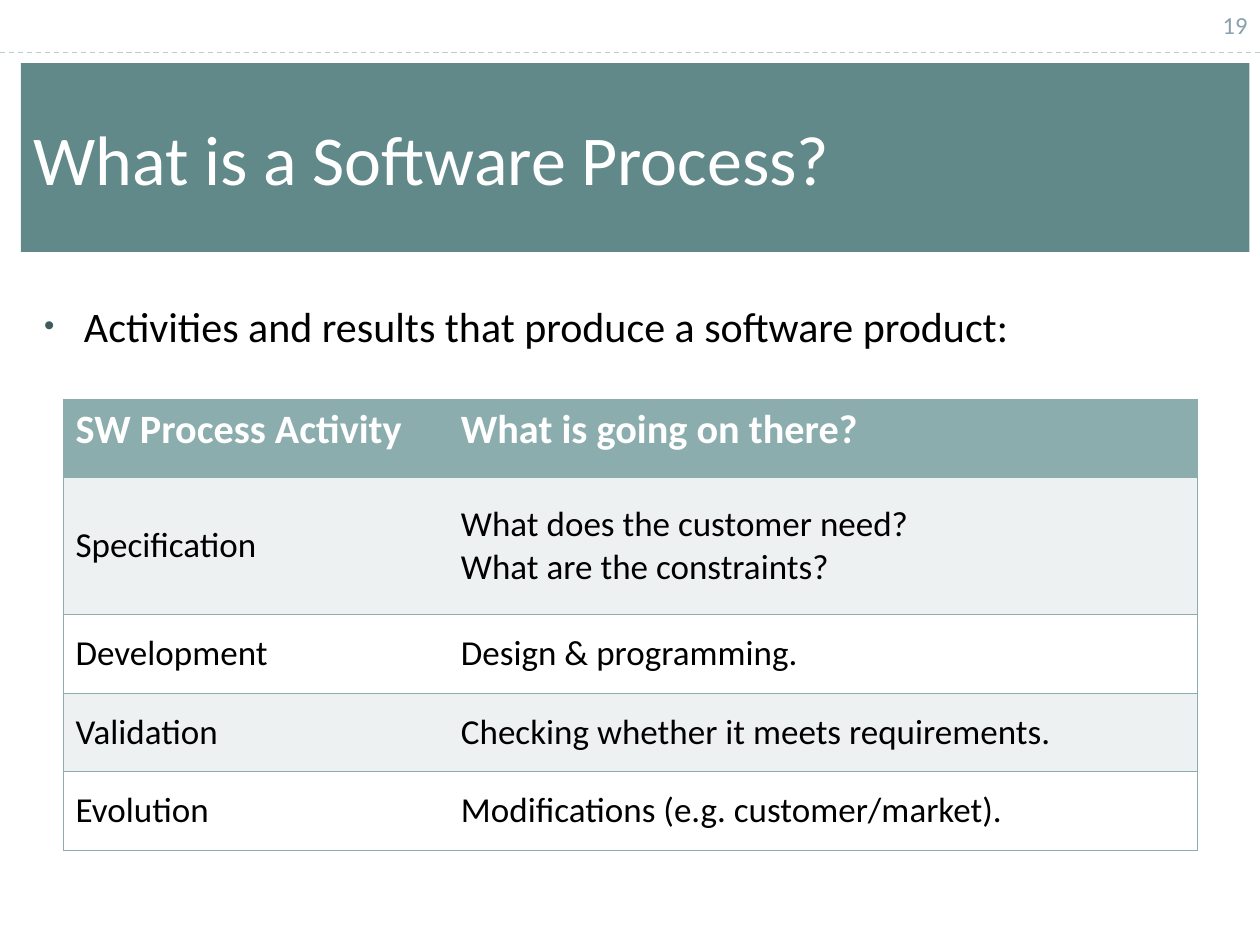
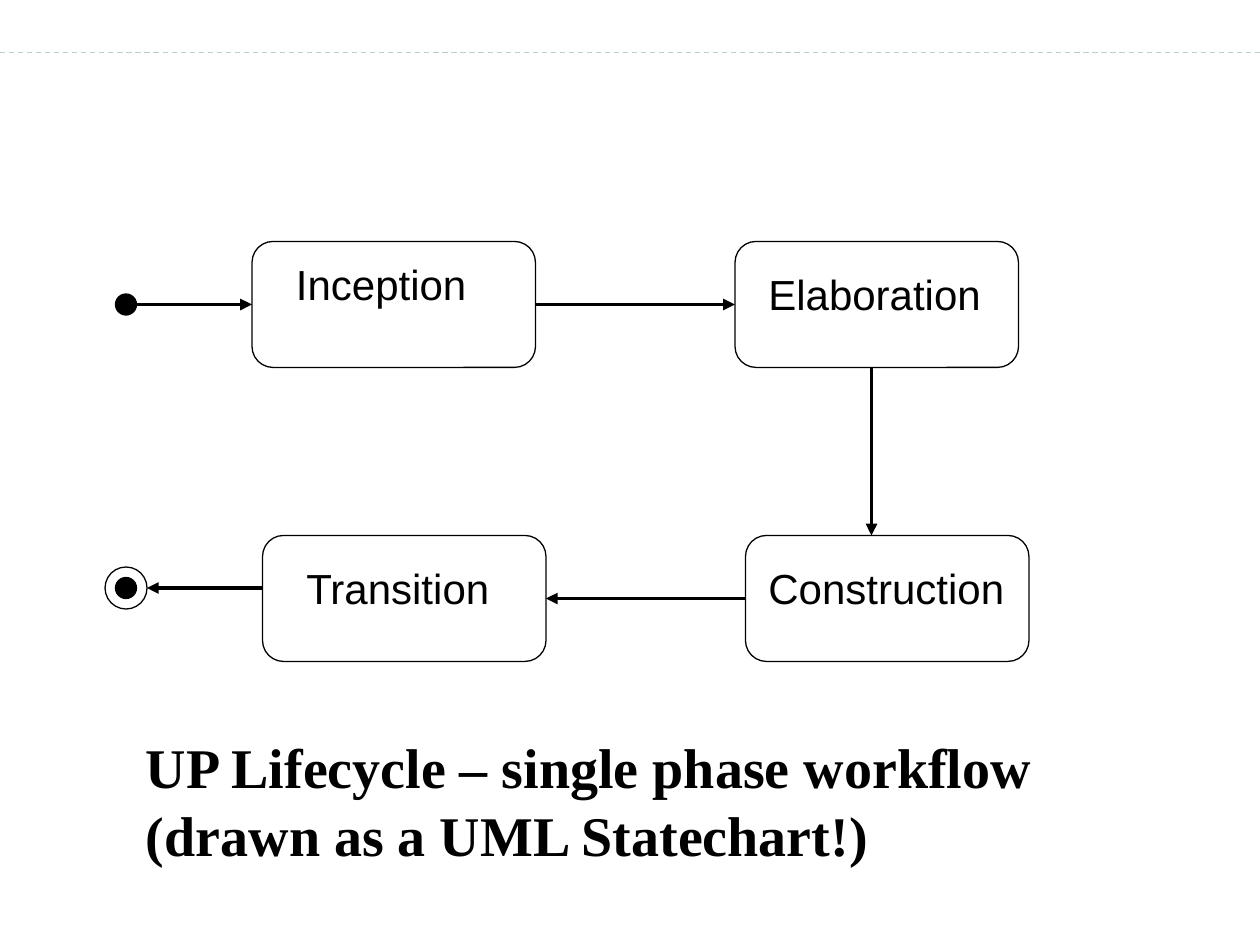
from lxml.etree import SubElement
from pptx import Presentation
from pptx.dml.color import RGBColor
from pptx.enum.dml import MSO_LINE
from pptx.enum.shapes import MSO_CONNECTOR, MSO_SHAPE
from pptx.enum.text import MSO_ANCHOR, MSO_AUTO_SIZE, PP_ALIGN
from pptx.oxml.ns import qn
from pptx.util import Pt

PX = 7620
SLIDE_SIZE = (1200, 900)
RULE_Y = 50

BLACK, WHITE = "000000", "FFFFFF"
RULE, NUMBER = "BACECE", "88A1AD"
BAND, BULLET = "61898A", "415B5C"
HEADER, STRIPE = "8CADAE", "EEF1F2"

PROCESS_TITLE = "What is a Software Process?"
PROCESS_POINT = "Activities and results that produce a software product:"
PAGE_NUMBER = "19"
ACTIVITIES = [
    ("SW Process Activity", "What is going on there?"),
    ("Specification", "What does the customer need?\nWhat are the constraints?"),
    ("Development", "Design & programming."),
    ("Validation", "Checking whether it meets requirements."),
    ("Evolution", "Modifications (e.g. customer/market)."),
]
COLUMN_WIDTHS = (367, 713)
ROW_HEIGHTS = (75, 130, 75, 75, 75)

LIFECYCLE_TITLE = "UP Lifecycle – single phase workflow\n(drawn as a UML Statechart!)"
STATE_SIZE = (270, 120)
PHASES = {
    "Inception": {"state": (240, 230), "label": (270, 240, 188, 60)},
    "Elaboration": {"state": (700, 230), "label": (720, 250, 228, 60)},
    "Construction": {"state": (710, 510), "label": (720, 530, 254, 60)},
    "Transition": {"state": (250, 510), "label": (280, 530, 202, 60)},
}
START_DOT, END_DOT = (110, 280, 20, 20), (110, 550, 20, 20)
END_RING = (100, 540, 40, 40)
LEFT, RIGHT = 1, 3
TRANSITIONS = [
    ((130, 290), (240, 290), None, ("Inception", LEFT)),
    ((510, 290), (700, 290), ("Inception", RIGHT), ("Elaboration", LEFT)),
    ((830, 350), (830, 510), None, None),
    ((710, 570), (520, 570), ("Construction", LEFT), ("Transition", RIGHT)),
    ((250, 560), (140, 560), None, None),
]


def px(*lengths):
    return [length * PX for length in lengths]


def color(hex_text):
    return RGBColor.from_string(hex_text)


def place(shape, area):
    shape.left, shape.top, shape.width, shape.height = px(*area)


def set_bullet(para, indent):
    props = para._p.get_or_add_pPr()
    props.set("marL", str(indent * PX))
    props.set("indent", str(-indent * PX))
    SubElement(SubElement(props, qn("a:buClr")), qn("a:srgbClr"), val=BULLET)
    SubElement(props, qn("a:buSzPct"), val="70000")
    SubElement(props, qn("a:buFont"), typeface="Arial")
    SubElement(props, qn("a:buChar"), char="•")


def write(frame, text, font, size, hex_text, bold=False, align=PP_ALIGN.LEFT, bullet_indent=0):
    frame.text = text
    for para in frame.paragraphs:
        if bullet_indent:
            set_bullet(para, bullet_indent)
        para.alignment = align
        para.space_before = Pt(0)
        para.font.name = font
        para.font.size = Pt(size)
        para.font.bold = bold
        para.font.color.rgb = color(hex_text)


def add_line(page, start, end, hex_text, width):
    line = page.shapes.add_connector(MSO_CONNECTOR.STRAIGHT, *px(*start, *end))
    line.line.color.rgb = color(hex_text)
    line.line.width = Pt(width)
    SubElement(line.element.spPr, qn("a:effectLst"))
    return line


def add_outline(page, kind, area, fill=None):
    shape = page.shapes.add_shape(kind, *px(*area))
    shape.shadow.inherit = False
    if fill:
        shape.fill.solid()
        shape.fill.fore_color.rgb = color(fill)
    else:
        shape.fill.background()
    shape.line.color.rgb = color(BLACK)
    shape.line.width = Pt(0.75)
    return shape


def add_label(page, area, text, font, size, hex_text, **style):
    box = page.shapes.add_textbox(*px(*area))
    write(box.text_frame, text, font, size, hex_text, **style)
    return box.text_frame


def add_master_rule(deck, page):
    rule = add_line(page, (0, RULE_Y), (SLIDE_SIZE[0], RULE_Y), RULE, 0.75)
    rule.line.dash_style = MSO_LINE.DASH
    rule.element.nvCxnSpPr.cNvPr.set("id", "100")
    deck.slide_master.shapes.element.append(rule.element)


def set_borders(cell, sides):
    props = cell._tc.get_or_add_tcPr()
    for side in "LRTB":
        border = SubElement(props, qn(f"a:ln{side}"), w=str(Pt(0.45)))
        if side in sides:
            fill = SubElement(border, qn("a:solidFill"))
            SubElement(fill, qn("a:srgbClr"), val=HEADER)
        else:
            SubElement(border, qn("a:noFill"))


def add_activity_table(page):
    area = (60, 380, sum(COLUMN_WIDTHS), sum(ROW_HEIGHTS))
    table = page.shapes.add_table(len(ACTIVITIES), len(COLUMN_WIDTHS), *px(*area)).table
    table.horz_banding = False
    for column, width in zip(table.columns, px(*COLUMN_WIDTHS)):
        column.width = width
    for row, height in zip(table.rows, px(*ROW_HEIGHTS)):
        row.height = height
    for row_index, texts in enumerate(ACTIVITIES):
        header = row_index == 0
        fill = HEADER if header else STRIPE if row_index % 2 else WHITE
        for column_index, text in enumerate(texts):
            cell = table.cell(row_index, column_index)
            set_borders(cell, "TB" + "LR"[column_index])
            cell.fill.solid()
            cell.fill.fore_color.rgb = color(fill)
            cell.vertical_anchor = MSO_ANCHOR.TOP if header else MSO_ANCHOR.MIDDLE
            write(cell.text_frame, text, "Calibri", 23 if header else 20,
                  WHITE if header else BLACK, bold=header)


def build_process_page(deck):
    page = deck.slides.add_slide(deck.slide_layouts[1])
    add_master_rule(deck, page)

    title = page.shapes.title
    place(title, (20, 60, 1170, 180))
    title.fill.solid()
    title.fill.fore_color.rgb = color(BAND)
    write(title.text_frame, PROCESS_TITLE, "Calibri", 40, WHITE)
    title.text_frame.vertical_anchor = MSO_ANCHOR.MIDDLE

    body = page.placeholders[1]
    place(body, (30, 280, 1150, 580))
    write(body.text_frame, PROCESS_POINT, "Calibri", 24, BLACK, bullet_indent=38)

    number = add_label(page, (920, 0, 280, 48), PAGE_NUMBER, "Calibri", 14, NUMBER,
                       align=PP_ALIGN.RIGHT)
    number.word_wrap = True
    number.vertical_anchor = MSO_ANCHOR.MIDDLE
    add_activity_table(page)


def build_lifecycle_page(deck):
    page = deck.slides.add_slide(deck.slide_layouts[5])

    title = page.shapes.title
    place(title, (127, 692, 873, 140))
    write(title.text_frame, LIFECYCLE_TITLE, "Times New Roman", 32, BLACK, bold=True)
    title.text_frame.vertical_anchor = MSO_ANCHOR.TOP
    title.text_frame.word_wrap = False
    title.text_frame.auto_size = MSO_AUTO_SIZE.SHAPE_TO_FIT_TEXT

    states = {}
    for name, phase in PHASES.items():
        area = phase["state"] + STATE_SIZE
        states[name] = add_outline(page, MSO_SHAPE.ROUNDED_RECTANGLE, area)
    for dot in (START_DOT, END_DOT):
        add_outline(page, MSO_SHAPE.OVAL, dot, BLACK)
    add_outline(page, MSO_SHAPE.OVAL, END_RING)

    for start, end, source, target in TRANSITIONS:
        arrow = add_line(page, start, end, BLACK, 2.25)
        SubElement(arrow.line._get_or_add_ln(), qn("a:tailEnd"), type="triangle")
        if source:
            arrow.begin_connect(states[source[0]], source[1])
        if target:
            arrow.end_connect(states[target[0]], target[1])

    for name, phase in PHASES.items():
        label = add_label(page, phase["label"], name, "Arial", 24, BLACK)
        label.word_wrap = False
        label.auto_size = MSO_AUTO_SIZE.SHAPE_TO_FIT_TEXT


def main():
    deck = Presentation()
    deck.slide_width, deck.slide_height = px(*SLIDE_SIZE)
    build_process_page(deck)
    build_lifecycle_page(deck)
    deck.save("out.pptx")


if __name__ == "__main__":
    main()
